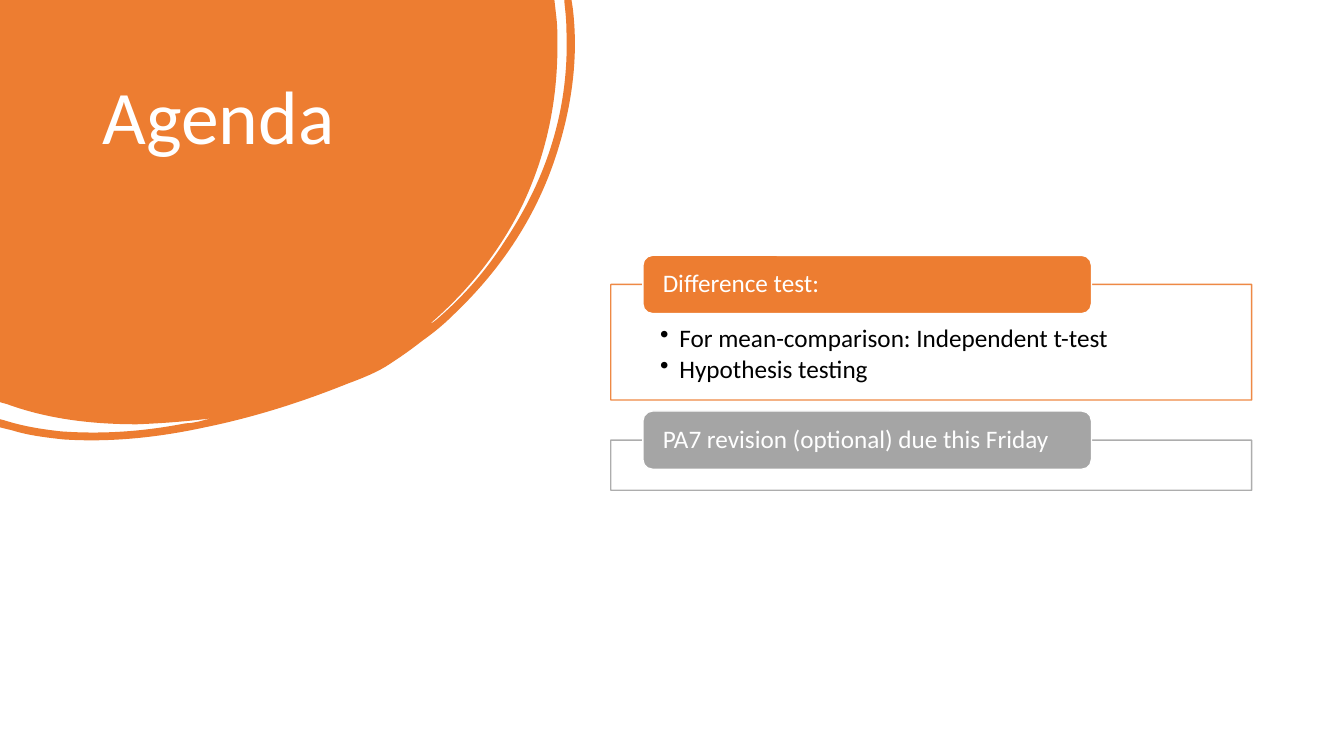
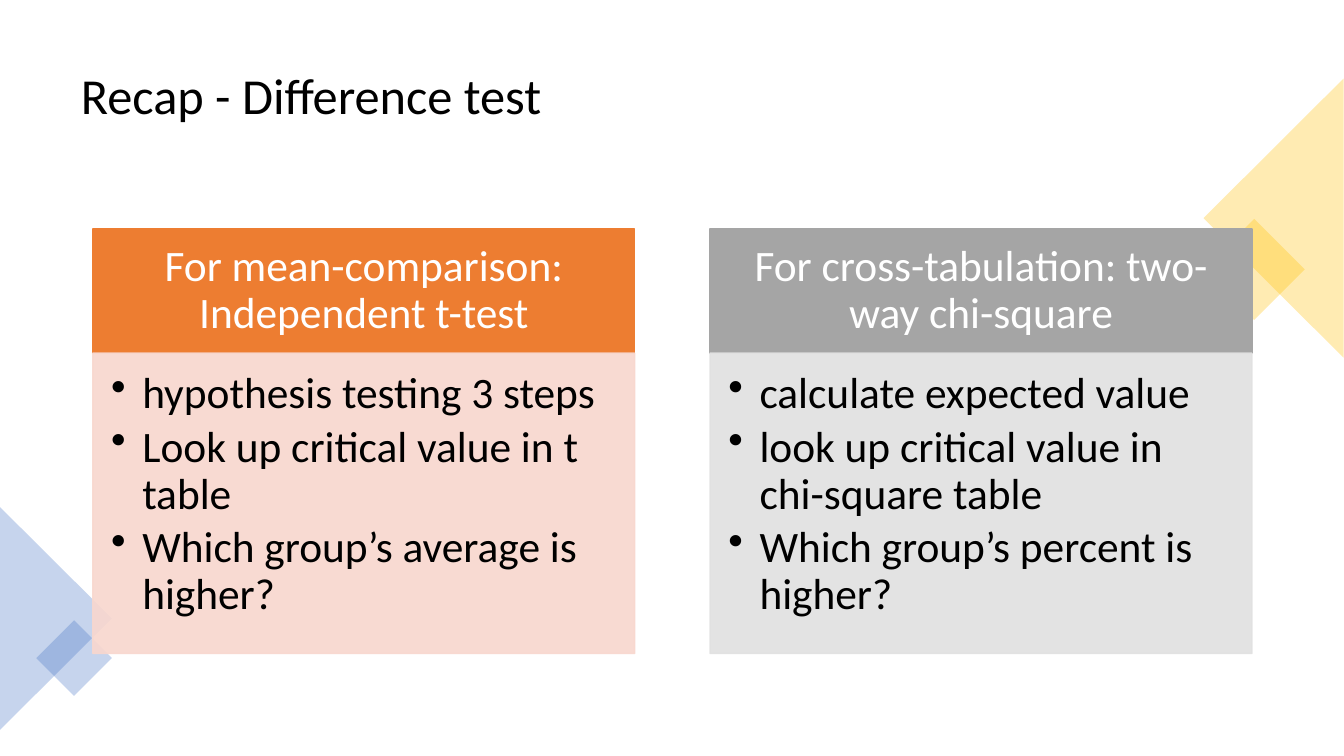
"""Build the agenda and recap slides on difference tests."""
from dataclasses import dataclass
from typing import Any, Sequence

import lxml.etree
import pptx
import pptx.dml.color
import pptx.enum.shapes
import pptx.enum.text
import pptx.oxml.ns
import pptx.util

Pt = pptx.util.Pt
qn = pptx.oxml.ns.qn
Shapes = pptx.enum.shapes.MSO_SHAPE
Anchor = pptx.enum.text.MSO_ANCHOR
Align = pptx.enum.text.PP_ALIGN

FONT = "Calibri"
ORANGE, GRAY, GOLD, BLUE = "ED7D31", "A5A5A5", "FFC000", "4472C4"
PALE_ORANGE, PALE_GRAY = "F8D7CE", "E1E1E1"
WHITE, BLACK = "FFFFFF", "000000"
DEFAULT_INSETS = (7.2, 3.6, 7.2, 3.6)

BLOB_SEGMENTS = (
    (396, 0),
    (397.4, 12.2),
    (398.2, 18.7, 398.2, 25.9, 398.2, 32.4),
    (398.2, 72.7, 390.2, 110.9, 373, 146.9),
    (357.1, 179.3, 334.8, 207.4, 307.4, 231.1),
    (308.9, 231.1, 309.6, 229.7, 311, 229),
    (330.5, 212.4, 347, 193.7, 360.7, 172.1),
    (391, 126.7, 406.8, 77, 404.6, 21.6),
    (404.6, 15.1, 403.9, 8.6, 403.2, 2.2),
    (403.2, 0),
    (408.2, 0),
    (409, 5),
    (413.3, 38.9, 409, 73.4, 398.2, 108),
    (383.8, 154.1, 357.8, 193, 322.6, 226.1),
    (316.1, 232.6, 308.9, 238.3, 301.7, 243.4),
    (294.5, 249.1, 287.3, 254.2, 278.6, 259.9),
    (270, 265.7, 259.2, 270, 247.7, 274.3),
    (215.3, 287.3, 181.4, 298.1, 146.2, 305.3),
    (113, 312.5, 79.2, 316.1, 45.4, 313.9),
    (32.4, 312.5, 20.2, 311, 8.6, 307.4),
    (0, 305.3),
    (0, 299.5),
    (2.9, 300.2),
    (16.6, 304.6, 30.2, 306.7, 43.9, 308.2),
    (74.2, 310.3, 103, 308.2, 132.5, 302.4),
    (136.1, 302.4, 139, 301.7, 142.6, 301),
    (145.4, 300.2, 148.3, 299.5, 151.2, 298.8),
    (133.9, 301, 115.9, 302.4, 97.9, 303.1),
    (66.2, 303.1, 34.6, 299.5, 5, 288.7),
    (0, 287.3),
)


@dataclass(frozen=True)
class Box:
    left: float
    top: float
    width: float
    height: float


@dataclass(frozen=True)
class AgendaItem:
    heading: str
    points: tuple[str, ...]
    color: str
    top: float
    height: float


@dataclass(frozen=True)
class RecapColumn:
    heading: str
    points: tuple[str, ...]
    color: str
    pale_color: str


@dataclass(frozen=True)
class Ornament:
    kind: Any
    box: Box
    rotation: float
    color: str


AGENDA_ITEMS = (
    AgendaItem(
        "Difference test:",
        ("For mean-comparison: Independent t-test", "Hypothesis testing"),
        ORANGE, 203.2, 82.6,
    ),
    AgendaItem("PA7 revision (optional) due this Friday", (), GRAY, 314.4, 35.8),
)
RECAP_COLUMNS = (
    RecapColumn(
        "For mean-comparison: Independent t-test",
        ("hypothesis testing 3 steps", "Look up critical value in t table",
         "Which group’s average is higher?"),
        ORANGE, PALE_ORANGE,
    ),
    RecapColumn(
        "For cross-tabulation: two-way chi-square",
        ("calculate expected value", "look up critical value in chi-square table",
         "Which group’s percent is higher?"),
        GRAY, PALE_GRAY,
    ),
)
ORNAMENTS = (
    Ornament(Shapes.RECTANGLE, Box(870.3, 166.9, 51.1, 51.1), 45, GOLD),
    Ornament(Shapes.ISOSCELES_TRIANGLE, Box(810, 105.8, 199.4, 100), 270, GOLD),
    Ornament(Shapes.ISOSCELES_TRIANGLE, Box(-39.6, 401.8, 159.1, 79.9), 90, BLUE),
    Ornament(Shapes.RECTANGLE, Box(33.8, 451, 38.2, 38.2), 45, BLUE),
)


def rgb(color: str) -> pptx.dml.color.RGBColor:
    return pptx.dml.color.RGBColor.from_string(color)


def paint(shape: Any, fill: str, line: str | None = None, opacity: int = 100) -> None:
    shape.shadow.inherit = False
    shape.fill.solid()
    shape.fill.fore_color.rgb = rgb(fill)
    if line is None:
        shape.line.fill.background()
    else:
        shape.line.color.rgb = rgb(line)
        shape.line.width = Pt(1)
    if opacity < 100:
        for color in shape._element.spPr.iter(qn("a:srgbClr")):
            alpha = lxml.etree.SubElement(color, qn("a:alpha"))
            alpha.set("val", str(opacity * 1000))


def add_box(slide: Any, kind: Any, box: Box, fill: str, line: str | None = None,
            opacity: int = 100) -> Any:
    shape = slide.shapes.add_shape(
        kind, Pt(box.left), Pt(box.top), Pt(box.width), Pt(box.height))
    paint(shape, fill, line, opacity)
    return shape


def write_text(shape: Any, lines: Sequence[str], *, size: float, color: str = BLACK,
               align: Any = Align.LEFT, anchor: Any = Anchor.TOP,
               insets: tuple[float, float, float, float] = DEFAULT_INSETS,
               bullet_indent: float = 0) -> None:
    frame = shape.text_frame
    frame.word_wrap = True
    frame.vertical_anchor = anchor
    frame.margin_left, frame.margin_top, frame.margin_right, frame.margin_bottom = (
        Pt(inset) for inset in insets)
    for index, line in enumerate(lines):
        paragraph = frame.add_paragraph() if index else frame.paragraphs[0]
        paragraph.alignment = align
        paragraph.line_spacing = 0.9
        if bullet_indent:
            paragraph.space_after = Pt(0.15 * size)
            properties = paragraph._p.get_or_add_pPr()
            properties.set("marL", str(Pt(bullet_indent)))
            properties.set("indent", str(-Pt(bullet_indent)))
            bullet = lxml.etree.SubElement(properties, qn("a:buChar"))
            bullet.set("char", "•")
        run = paragraph.add_run()
        run.text = line
        run.font.name = FONT
        run.font.size = Pt(size)
        run.font.color.rgb = rgb(color)


def add_title(slide: Any, text: str, box: Box, **text_format: Any) -> None:
    title = slide.shapes.add_textbox(
        Pt(box.left), Pt(box.top), Pt(box.width), Pt(box.height))
    write_text(title, [text], **text_format)


def bend(line: Any, segment: Sequence[float]) -> None:
    line.tag = qn("a:cubicBezTo")
    for position in (0, 2):
        control = lxml.etree.Element(qn("a:pt"))
        control.set("x", str(Pt(segment[position])))
        control.set("y", str(Pt(segment[position + 1])))
        line.insert(position // 2, control)


def add_blob(slide: Any) -> None:
    builder = slide.shapes.build_freeform(0, 0)
    builder.add_line_segments(
        [(Pt(segment[-2]), Pt(segment[-1])) for segment in BLOB_SEGMENTS], close=True)
    blob = builder.convert_to_shape()
    paint(blob, ORANGE)
    lines = list(blob._element.spPr.iter(qn("a:lnTo")))
    for line, segment in zip(lines, BLOB_SEGMENTS):
        if len(segment) == 6:
            bend(line, segment)


def add_agenda_item(slide: Any, item: AgendaItem) -> None:
    panel = add_box(slide, Shapes.RECTANGLE, Box(436.3, item.top, 457.8, item.height),
                    WHITE, item.color, opacity=90)
    if item.points:
        write_text(panel, item.points, size=18, insets=(35.3, 29.5, 35.3, 10),
                   bullet_indent=13.7)
    tab_height = 41.6
    tab = add_box(slide, Shapes.ROUNDED_RECTANGLE,
                  Box(459.2, item.top - tab_height / 2, 320.4, tab_height),
                  item.color, WHITE)
    write_text(tab, [item.heading], size=18, color=WHITE, anchor=Anchor.MIDDLE,
               insets=(12.2, 0, 12.2, 0))


def add_recap_column(slide: Any, column: RecapColumn, left: float) -> None:
    top, width, heading_height, body_height = 163.5, 387, 88.7, 214.6
    heading = add_box(slide, Shapes.RECTANGLE, Box(left, top, width, heading_height),
                      column.color, column.color)
    write_text(heading, [column.heading], size=31, color=WHITE, align=Align.CENTER,
               anchor=Anchor.MIDDLE, insets=(17.3, 10, 17.3, 10))
    body = add_box(slide, Shapes.RECTANGLE,
                   Box(left, top + heading_height, width, body_height),
                   column.pale_color, column.pale_color, opacity=90)
    write_text(body, column.points, size=31, insets=(13, 13, 17.3, 19.4),
               bullet_indent=22.3)


def build_agenda(slide: Any) -> None:
    add_blob(slide)
    add_title(slide, "Agenda", Box(66.2, 53.3, 253.4, 159.8), size=54, color=WHITE)
    for item in AGENDA_ITEMS:
        add_agenda_item(slide, item)


def build_recap(slide: Any) -> None:
    add_title(slide, "Recap - Difference test", Box(50.7, 25.2, 859, 89.3),
              size=36, anchor=Anchor.MIDDLE)
    for ornament in ORNAMENTS:
        shape = add_box(slide, ornament.kind, ornament.box, ornament.color, opacity=30)
        shape.rotation = ornament.rotation
    for index, column in enumerate(RECAP_COLUMNS):
        add_recap_column(slide, column, 66.3 + 440.9 * index)


def main() -> None:
    presentation = pptx.Presentation()
    presentation.slide_width, presentation.slide_height = Pt(960), Pt(540)
    for build in (build_agenda, build_recap):
        build(presentation.slides.add_slide(presentation.slide_layouts[6]))
    presentation.save("out.pptx")


if __name__ == "__main__":
    main()
